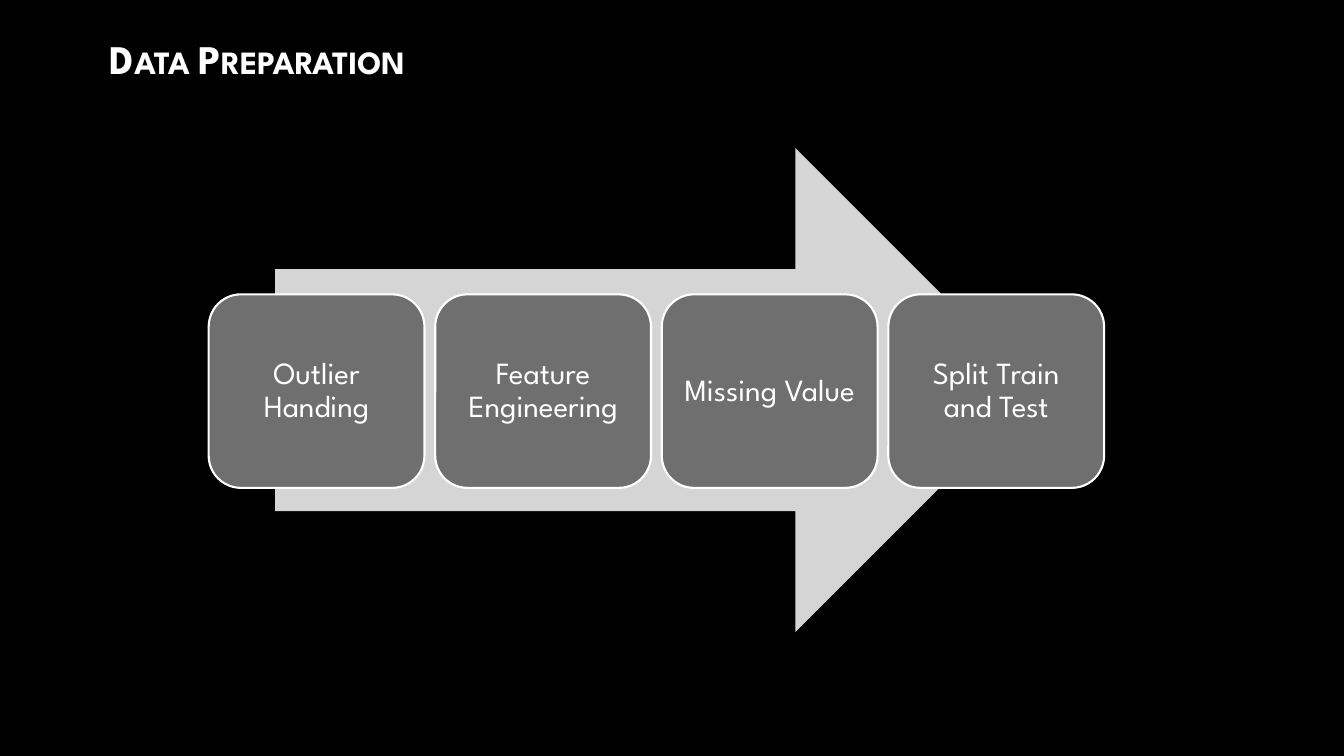
from dataclasses import dataclass

from pptx import Presentation
from pptx import util as u
from pptx.dml.color import RGBColor
from pptx.enum import shapes, text


@dataclass(frozen=True)
class Theme:
    font: str = "League Spartan"
    background: str = "000000"
    ink: str = "FFFFFF"
    arrow: str = "D5D5D5"
    card: str = "6F6F6F"
    title_size: float = 29
    card_size: float = 22
    outline: float = 1.5


THEME = Theme()
STEPS = ["Outlier Handing", "Feature Engineering", "Missing Value", "Split Train and Test"]


def paint(fill, color):
    fill.solid()
    fill.fore_color.rgb = RGBColor.from_string(color)


def write(box, words, size, align, bold=False, small_caps=False, spacing=1.0, inset=0.1):
    frame = box.text_frame
    frame.word_wrap = True
    frame.auto_size = text.MSO_AUTO_SIZE.NONE
    frame.vertical_anchor = text.MSO_ANCHOR.MIDDLE
    frame.margin_left = frame.margin_right = u.Inches(inset)
    frame.margin_top = frame.margin_bottom = u.Inches(inset)
    para = frame.paragraphs[0]
    para.alignment = align
    para.line_spacing = spacing
    span = para.add_run()
    span.text = words
    span.font.name = THEME.font
    span.font.size = u.Pt(size)
    span.font.bold = bold
    paint(span.font.fill, THEME.ink)
    if small_caps:
        span._r.get_or_add_rPr().set("cap", "small")


def add_block(page, preset, left, top, width, height, color, outline=None):
    block = page.shapes.add_shape(preset, *map(u.Inches, (left, top, width, height)))
    block.shadow.inherit = False
    paint(block.fill, color)
    if outline:
        paint(block.line.fill, outline)
        block.line.width = u.Pt(THEME.outline)
    else:
        block.line.fill.background()
    return block


def add_title(page, words):
    title = page.shapes.title
    title.left, title.top = u.Inches(0.99), u.Inches(0.18)
    title.width, title.height = u.Inches(11.59), u.Inches(0.79)
    write(title, words, THEME.title_size, text.PP_ALIGN.LEFT, bold=True, small_caps=True)


def add_process(page, steps, left=2.07, top=2.92, width=2.14, height=1.92, pitch=2.247):
    """Place one card per step in a row over a wide arrow."""
    add_block(page, shapes.MSO_SHAPE.RIGHT_ARROW, 2.73, 1.47, 7.56, 4.8, THEME.arrow)
    for index, step in enumerate(steps):
        card = add_block(page, shapes.MSO_SHAPE.ROUNDED_RECTANGLE, left + index * pitch,
                         top, width, height, THEME.card, outline=THEME.ink)
        write(card, step, THEME.card_size, text.PP_ALIGN.CENTER, spacing=0.9, inset=0.09)


def main():
    deck = Presentation()
    deck.slide_width, deck.slide_height = u.Inches(13.33), u.Inches(7.5)
    page = deck.slides.add_slide(deck.slide_layouts.get_by_name("Title Only"))
    paint(page.background.fill, THEME.background)
    add_title(page, "Data Preparation")
    add_process(page, STEPS)
    deck.save("out.pptx")


if __name__ == "__main__":
    main()
